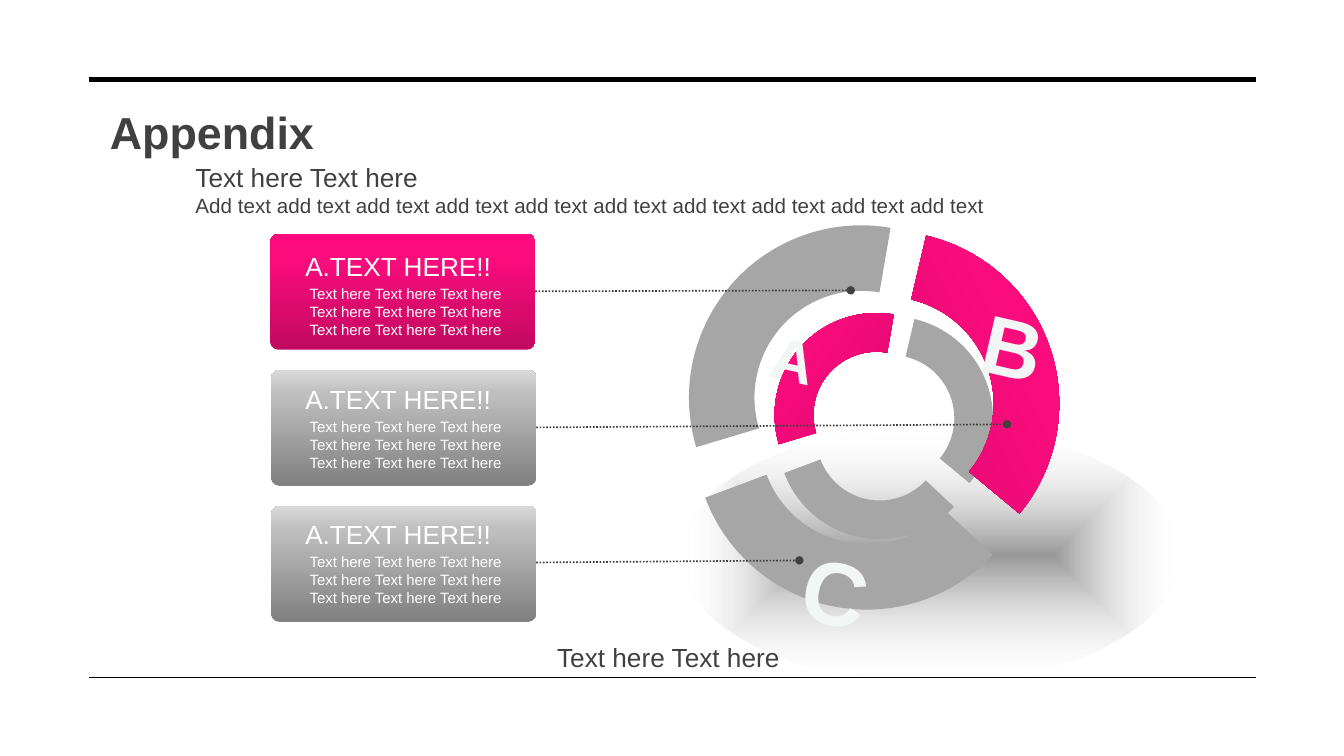
from pptx import Presentation
from pptx import util as u
from pptx.dml.color import RGBColor
from pptx.enum import dml, shapes, text
from pptx.oxml import parse_xml
from pptx.oxml.ns import nsdecls, qn

BLACK = RGBColor(0x00, 0x00, 0x00)
WHITE = RGBColor(0xFF, 0xFF, 0xFF)
CHARCOAL = RGBColor(0x40, 0x40, 0x40)
GREY = RGBColor(0xA6, 0xA6, 0xA6)
MIST = RGBColor(0xF2, 0xF6, 0xF4)
PINK_STOPS = [
    (0, RGBColor(0xC2, 0x09, 0x61), 100),
    (80, RGBColor(0xFB, 0x0C, 0x7D), 100),
    (100, RGBColor(0xFF, 0x0A, 0x7E), 100),
]
SILVER_STOPS = [
    (0, RGBColor(0x80, 0x80, 0x80), 100),
    (80, RGBColor(0xBF, 0xBF, 0xBF), 100),
    (100, RGBColor(0xD9, 0xD9, 0xD9), 100),
]
SHADE_STOPS = [(0, BLACK, 40), (100, WHITE, 0)]
UPWARD = '<a:lin ang="16200000" scaled="0"/>'
FROM_CENTRE = (
    '<a:path path="shape"><a:fillToRect l="50000" t="50000" r="50000" b="50000"/></a:path>'
)
LEFT, CENTRE = text.PP_ALIGN.LEFT, text.PP_ALIGN.CENTER
SHAPE = shapes.MSO_SHAPE


def points(values):
    return [u.Pt(value) for value in values]


class Deck:
    font = "Arial"
    tilt = 13

    def __init__(self, width, height):
        self.presentation = Presentation()
        self.presentation.slide_width, self.presentation.slide_height = points((width, height))
        self.slide = self.presentation.slides.add_slide(self.presentation.slide_layouts[5])

    def add_lines(self, frame, lines, align, color, bold=False):
        for index, (words, size) in enumerate(lines):
            paragraph = frame.paragraphs[0] if index == 0 else frame.add_paragraph()
            paragraph.alignment = align
            run = paragraph.add_run()
            run.text = words
            run.font.name, run.font.size, run.font.bold = self.font, u.Pt(size), bold
            run.font.color.rgb = color

    def title(self, box, words):
        heading = self.slide.shapes.title
        heading.left, heading.top, heading.width, heading.height = points(box)
        heading.text_frame.vertical_anchor = text.MSO_ANCHOR.MIDDLE
        self.add_lines(heading.text_frame, [(words, 32)], LEFT, CHARCOAL, True)

    def text(self, box, lines, align=CENTRE, color=CHARCOAL):
        frame = self.slide.shapes.add_textbox(*points(box)).text_frame
        frame.word_wrap = True
        self.add_lines(frame, lines, align, color)

    def letter(self, box, words, size):
        label = self.slide.shapes.add_textbox(*points(box))
        label.rotation = self.tilt
        frame = label.text_frame
        frame.word_wrap = False
        frame.margin_left = frame.margin_right = u.Pt(9.4)
        frame.margin_top = frame.margin_bottom = u.Pt(5)
        self.add_lines(frame, [(words, size)], CENTRE, MIST, True)

    def shape(self, kind, box, fill, direction=UPWARD, adjustments=(), parent=None):
        piece = (parent or self.slide).shapes.add_shape(kind, *points(box))
        piece.shadow.inherit = False
        piece.line.fill.background()
        for index, value in enumerate(adjustments):
            piece.adjustments[index] = value
        piece.fill.solid()
        if isinstance(fill, RGBColor):
            piece.fill.fore_color.rgb = fill
        else:
            stops = "".join(
                f'<a:gs pos="{place * 1000}"><a:srgbClr val="{color}">'
                f'<a:alpha val="{alpha * 1000}"/></a:srgbClr></a:gs>'
                for place, color, alpha in fill
            )
            properties = piece._element.spPr
            properties.replace(
                properties.find(qn("a:solidFill")),
                parse_xml(
                    f'<a:gradFill {nsdecls("a")} rotWithShape="1">'
                    f"<a:gsLst>{stops}</a:gsLst>{direction}</a:gradFill>"
                ),
            )
        return piece

    def ring(self, size, corners, fills):
        group = self.slide.shapes.add_group_shape()
        for corner, turn, fill in zip(corners, (305, 64.9, 184.7), fills):
            arc = self.shape(SHAPE.BLOCK_ARC, (*corner, size, size), fill,
                             adjustments=(123.18, 193.08, 0.19), parent=group)
            arc.rotation = turn
        group.rotation = self.tilt

    def line(self, start, end, color, width, dotted=False):
        rule = self.slide.shapes.add_connector(
            shapes.MSO_CONNECTOR.STRAIGHT, *points(start + end))
        rule.line.color.rgb, rule.line.width = color, u.Pt(width)
        if dotted:
            rule.line.dash_style = dml.MSO_LINE.ROUND_DOT
            rule.line._get_or_add_ln().append(
                parse_xml(f'<a:tailEnd {nsdecls("a")} type="oval"/>'))
        rule._element.spPr.append(parse_xml(f'<a:effectLst {nsdecls("a")}/>'))


deck = Deck(960, 540)
for rule_top, weight in ((56.9, 3.5), (483.8, 1)):
    deck.line((63.4, rule_top), (897.1, rule_top), BLACK, weight)
deck.title((71.3, 70.6, 663.8, 46.1), "Appendix")

deck.shape(SHAPE.OVAL, (486, 305.3, 357.1, 182.2), SHADE_STOPS, FROM_CENTRE)
deck.ring(145.4, [(551.5, 224.6), (562.3, 224.6), (557.3, 239.8)], (PINK_STOPS, GREY, GREY))
deck.ring(246.2, [(488.9, 162.7), (507.6, 162.7), (499, 189.4)], (GREY, PINK_STOPS, GREY))
deck.letter((693.4, 206.6, 61.9, 80.6), "B", 58.7)
deck.letter((563.8, 378, 66.2, 87.1), "C", 64)

leaders = [
    ((382.3, 208.1), (607.7, 207.4)),
    ((383, 305.3), (719.3, 303.1)),
    ((383, 401.8), (571, 400.3)),
]
for start, end in leaders:
    deck.line(start, end, CHARCOAL, 1.2, dotted=True)

cards = [(193, 175, PINK_STOPS), (193.7, 270, SILVER_STOPS), (193.7, 366.5, SILVER_STOPS)]
for row, (card_left, heading_top, fill) in enumerate(cards):
    deck.shape(SHAPE.ROUNDED_RECTANGLE, (card_left, 167 + 97.2 * row, 189.4, 82.8), fill,
               adjustments=(0.07,))
    deck.text((200.2, heading_top, 168.5, 30.2), [("A.TEXT HERE!!", 18.7)], color=WHITE)
    deck.text((203.8, heading_top + 24.5, 172, 46),
              [("Text here Text here Text here", 10.7)] * 3, color=WHITE)

deck.letter((542.2, 224.6, 43.9, 61.2), "A", 42.7)
deck.text((200.2, 454.3, 554.4, 30.2), [("Text here Text here", 18.7)])
deck.text((132.5, 111.6, 639.4, 47.5),
          [("Text here Text here", 18.7), (" ".join(["add text"] * 10).capitalize(), 14.7)], LEFT)

deck.presentation.save("out.pptx")
